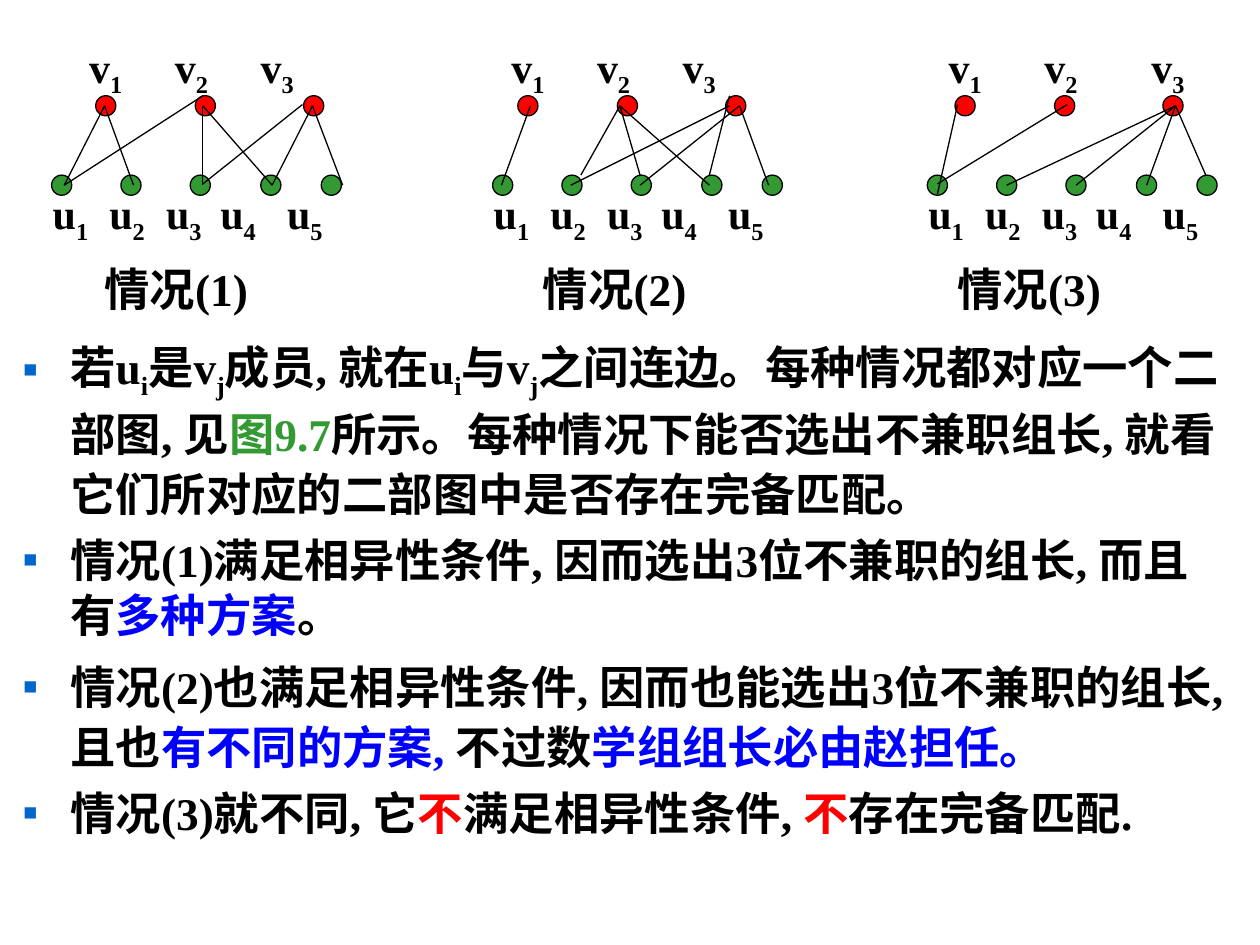
from dataclasses import dataclass
from typing import Any

from lxml import etree
from pptx import Presentation
from pptx import util as u
from pptx.dml import color as col
from pptx.enum import shapes, text
from pptx.oxml import ns

BLACK, RED, GREEN, BLUE = "000000", "FF0000", "339933", "0000FF"
FACE = "Times New Roman"


def paint(code):
    return col.RGBColor.from_string(code)


def add_node(top, tag, **attrs):
    return etree.SubElement(top, ns.qn(tag), attrs)


def write(para, parts, size=24, mark=None, hang=0, lead=1, before=0):
    props = para._p.get_or_add_pPr()
    props.set("marL", str(u.Inches(hang)))
    props.set("indent", str(-u.Inches(hang)))
    if mark:
        tint = add_node(props, "a:buClr")
        add_node(tint, "a:srgbClr", val="0066CC")
        add_node(props, "a:buFont", typeface=FACE)
        add_node(props, "a:buChar", char=mark)
    else:
        add_node(props, "a:buNone")
    para.line_spacing = lead
    para.space_before = u.Pt(before)
    for part in parts:
        words, hue, low = part if isinstance(part, tuple) else (part, BLACK, False)
        run = para.add_run()
        run.text = words
        run.font.name = FACE
        run.font.size = u.Pt(size)
        run.font.bold = True
        run.font.color.rgb = paint(hue)
        if low:
            run._r.get_or_add_rPr().set("baseline", "-25000")


def sub(words):
    return words, BLACK, True


def tone(words, hue):
    return words, hue, False


@dataclass
class Board:
    slide: Any
    ink: str = BLACK
    weight: float = 0.75
    dot_size: float = 0.16

    def box(self, x, y, w, h):
        frame = self.slide.shapes.add_textbox(*map(u.Inches, (x, y, w, h))).text_frame
        frame.word_wrap = True
        frame.vertical_anchor = text.MSO_ANCHOR.TOP
        return frame

    def label(self, x, y, w, parts, size=24):
        write(self.box(x, y, w, 0.56).paragraphs[0], parts, size=size)

    def row(self, x, y, name, steps):
        for num, step in enumerate(steps, 1):
            self.label(x + step, y, 0.6, [name, sub(str(num))])

    def dot(self, x, y, hue):
        size = self.dot_size
        dot = self.slide.shapes.add_shape(
            shapes.MSO_SHAPE.OVAL, *map(u.Inches, (x, y, size, size)))
        dot.shadow.inherit = False
        dot.fill.solid()
        dot.fill.fore_color.rgb = paint(hue)
        dot.line.color.rgb = paint(self.ink)
        dot.line.width = u.Pt(self.weight)

    def edge(self, *ends):
        line = self.slide.shapes.add_connector(
            shapes.MSO_CONNECTOR.STRAIGHT, *map(u.Inches, ends))
        line.line.color.rgb = paint(self.ink)
        line.line.width = u.Pt(self.weight)
        add_node(line._element.spPr, "a:effectLst")


HEADS = (0, 0.79, 1.65)
FEET = (0, 0.55, 1.1, 1.66, 2.14)
EVEN = (0, 0.68, 1.36)
WIDE = (0, 0.76, 1.61)
NAMES = (0, 0.45, 0.9, 1.33, 1.86)

GRAPHS = [
    ("情况(1)", 0.73, 0.76, 0.41, EVEN, [
        (0.83, 0.84, 0.51, 1.47), (1.61, 0.76, 0.51, 1.47),
        (0.83, 0.84, 1.06, 1.47), (1.61, 0.84, 1.61, 1.47),
        (1.61, 0.84, 2.16, 1.47), (1.61, 1.46, 2.4, 0.83),
        (2.48, 0.84, 2.72, 1.47), (2.48, 0.84, 2.16, 1.47)]),
    ("情况(2)", 4.21, 4.11, 3.91, EVEN, [
        (4.21, 0.84, 3.98, 1.47), (4.92, 0.84, 4.61, 1.39),
        (4.92, 0.84, 5.08, 1.39), (4.92, 0.84, 5.63, 1.47),
        (5.87, 0.84, 6.1, 1.47), (5.79, 0.76, 5.63, 1.39),
        (5.87, 0.84, 5.08, 1.47), (5.79, 0.84, 4.53, 1.47)]),
    ("情况(3)", 7.5, 7.58, 7.36, WIDE, [
        (7.44, 1.54, 7.6, 0.83), (7.44, 1.46, 8.47, 0.83),
        (9.33, 0.84, 9.1, 1.47), (9.33, 0.84, 8.54, 1.47),
        (9.33, 0.84, 9.57, 1.39), (9.33, 0.84, 7.99, 1.47)]),
]

POINTS = [
    (1.1, ["若u", sub("i"), "是v", sub("j"), "成员, 就在u", sub("i"), "与v", sub("j"),
           "之间连边。每种情况都对应一个二部图, 见", tone("图9.7", GREEN),
           "所示。每种情况下能否选出不兼职组长, 就看它们所对应的二部图中是否存在完备匹配。"]),
    (1, ["情况(1)满足相异性条件, 因而选出3位不兼职的组长, 而且有",
         tone("多种方案", BLUE), "。"]),
    (1.1, ["情况(2)也满足相异性条件, 因而也能选出3位不兼职的组长, 且也",
           tone("有不同的方案, ", BLUE), "不过数", tone("学组组长必由赵担任。", BLUE)]),
    (1, ["情况(3)就不同, 它", tone("不", RED), "满足相异性条件, ",
         tone("不", RED), "存在完备匹配."]),
]


def main():
    deck = Presentation()
    deck.slide_width, deck.slide_height = u.Inches(10), u.Inches(7.5)
    board = Board(deck.slides.add_slide(deck.slide_layouts[6]))

    body = board.box(0.08, 2.59, 9.8, 4.86)
    for num, (lead, parts) in enumerate(POINTS):
        para = body.add_paragraph() if num else body.paragraphs[0]
        write(para, parts, size=25.9, mark="▪", hang=0.38, lead=lead,
              before=7 if num else 0)

    for title, left, head, foot, names, edges in GRAPHS:
        board.label(left, 2.02, 1.6, [title], size=25.9)
        board.row(head - 0.15, 0.28, "v", names)
        board.row(foot - 0.09, 1.44, "u", NAMES)
        for step in HEADS:
            board.dot(head + step, 0.76, RED)
        for step in FEET:
            board.dot(foot + step, 1.39, GREEN)
        for ends in edges:
            board.edge(*ends)

    deck.save("out.pptx")


if __name__ == "__main__":
    main()
